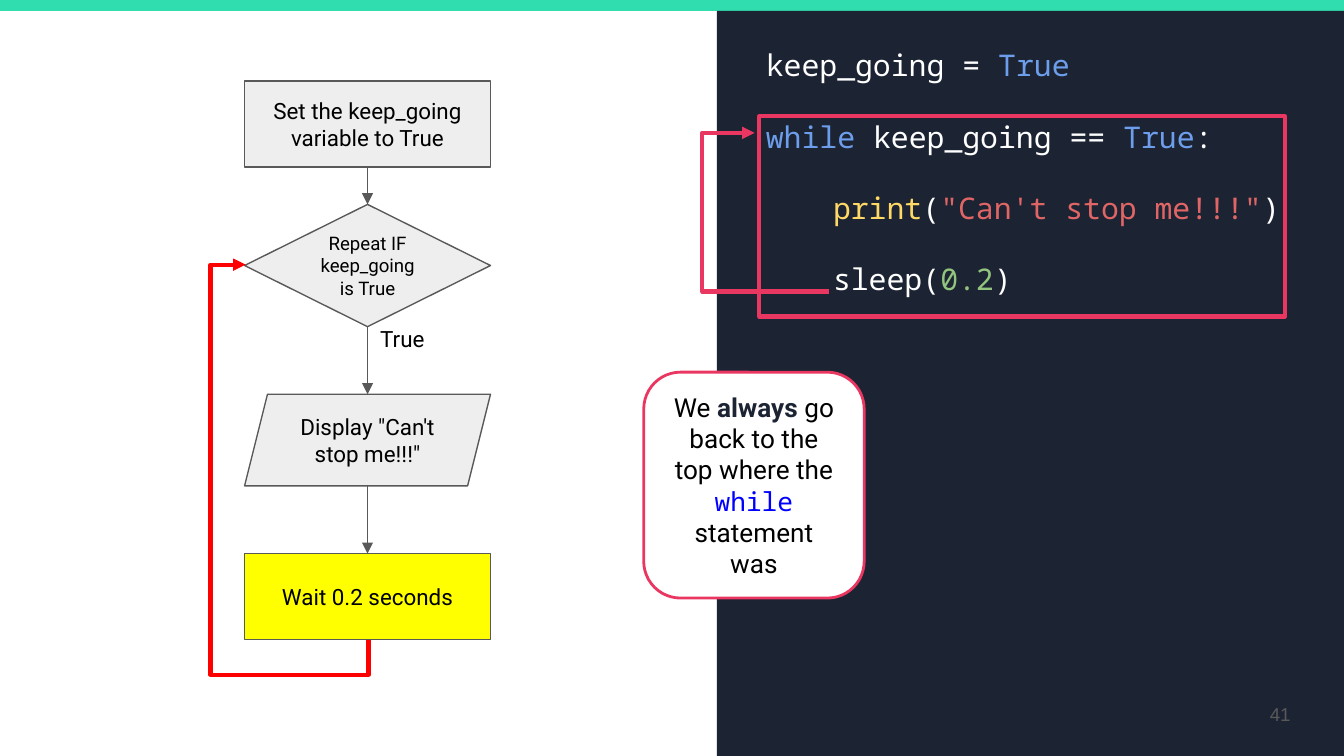
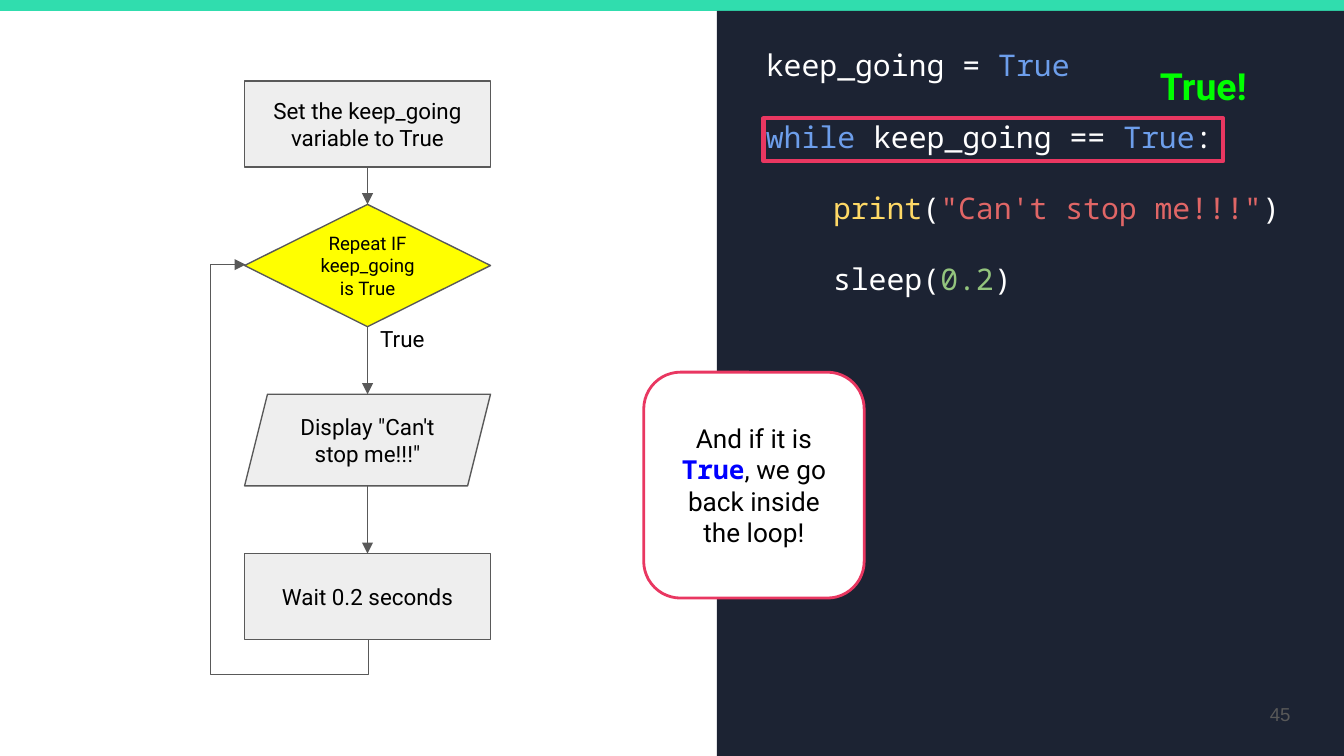
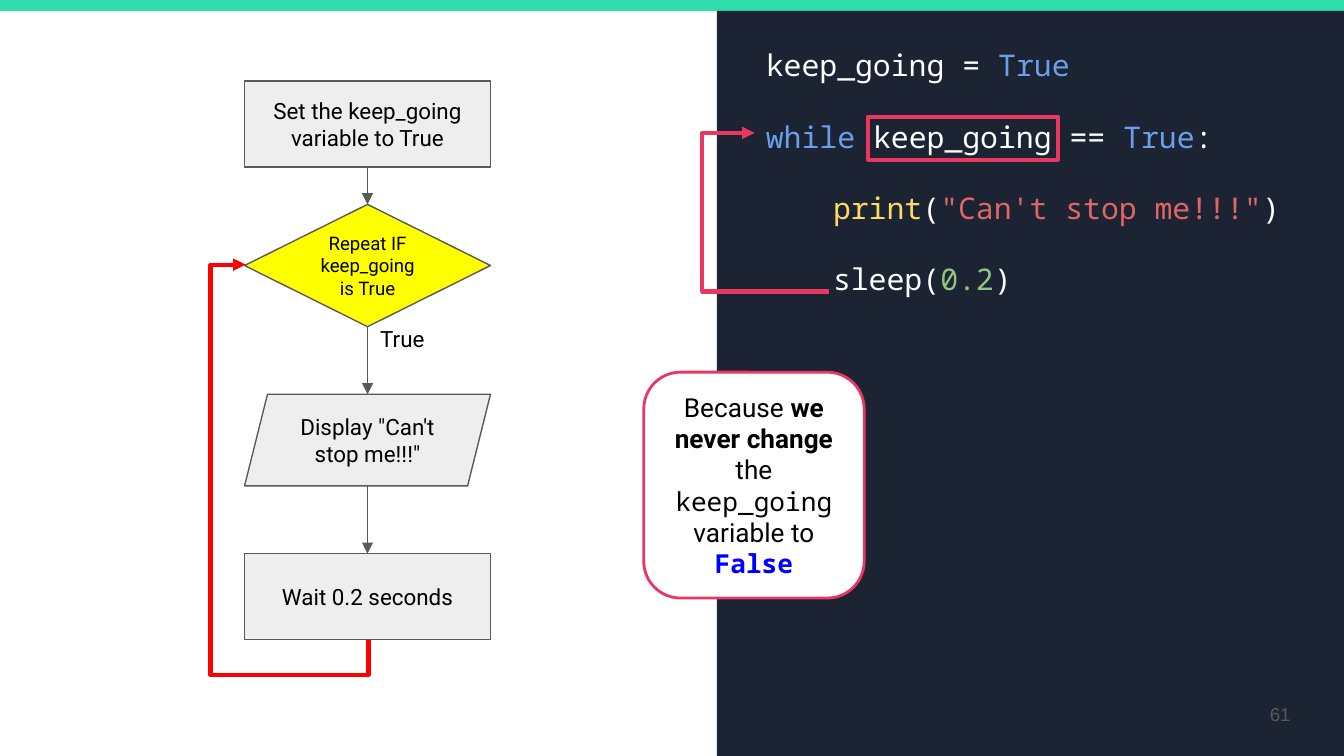
"""Build three slides that explain a while loop with a flowchart and code."""
from lxml import etree
from pptx import Presentation
from pptx.dml.color import RGBColor
from pptx.enum import shapes, text
from pptx.oxml import ns
from pptx.util import Pt

KIND = shapes.MSO_SHAPE
ALIGN = text.PP_ALIGN
ANCHOR = text.MSO_ANCHOR

TEAL, NAVY, PINK, RED = "30DDAE", "1C2333", "E93761", "FF0000"
GREY, PALE, YELLOW, LIME = "595959", "EEEEEE", "FFFF00", "00FF00"
WHITE, BLACK, BLUE = "FFFFFF", "000000", "0000FF"
KEYWORD, CALL, STRING, NUMBER = "6D9EEB", "FFD966", "E06666", "93C47D"
SANS, MONO = "Roboto", "Noto Sans Mono"

CODE_LINE = 19.1
CODE = [
    (0, [("keep_going = ", WHITE), ("True", KEYWORD)]),
    (0, [("while", KEYWORD), (" keep_going == ", WHITE), ("True", KEYWORD), (":", WHITE)]),
    (36, [("print", CALL), ("(", WHITE), ('"Can\'t stop me!!!"', STRING), (")", WHITE)]),
    (36, [("sleep(", WHITE), ("0.2", NUMBER), (")", WHITE)]),
]

STEP_LEFT, STEP_WIDTH = 131.04, 131.76
STEPS = [
    ("set", KIND.RECTANGLE, 43.4, 46.2, "Set the keep_going variable to True", 12),
    ("test", KIND.DIAMOND, 109.5, 65.5, "Repeat IF keep_going is True", 10),
    ("show", KIND.PARALLELOGRAM, 211.2, 49.1, 'Display "Can\'t stop me!!!"', 12),
    ("wait", KIND.RECTANGLE, 296.6, 46.2, "Wait 0.2 seconds", 12),
]


def color(value):
    """Turn a hex string into a colour."""
    return RGBColor.from_string(value)


def add_span(para, words, size, font=SANS, ink=BLACK, bold=False):
    """Append one formatted run to a paragraph."""
    span = para.add_run()
    span.text = words
    span.font.size = Pt(size)
    span.font.name = font
    span.font.bold = bold
    span.font.color.rgb = color(ink)


def set_frame(box, anchor):
    """Give a box wrapped text with even insets."""
    frame = box.text_frame
    frame.word_wrap = True
    frame.vertical_anchor = anchor
    frame.margin_left = frame.margin_right = Pt(7.2)
    frame.margin_top = frame.margin_bottom = Pt(7.2)
    return frame


def add_box(parent, kind, place, fill=None, line=None, weight=0.75):
    """Draw a preset shape, with fill and outline where given."""
    box = parent.shapes.add_shape(kind, *map(Pt, place))
    box.shadow.inherit = False
    if fill:
        box.fill.solid()
        box.fill.fore_color.rgb = color(fill)
    else:
        box.fill.background()
    if line:
        box.line.color.rgb = color(line)
        box.line.width = Pt(weight)
    else:
        box.line.fill.background()
    return box


def write(box, spans, align=ALIGN.CENTER, anchor=ANCHOR.MIDDLE):
    """Write one paragraph of spans into a box."""
    para = set_frame(box, anchor).paragraphs[0]
    para.alignment = align
    for span in spans:
        add_span(para, *span)


def add_label(parent, place, span, align=ALIGN.LEFT, anchor=ANCHOR.TOP):
    """Place a text box that holds one span."""
    write(parent.shapes.add_textbox(*map(Pt, place)), [span], align, anchor)


def style_arrow(link, ink, weight):
    """Set the line and arrowhead of a connector."""
    link.line.color.rgb = color(ink)
    link.line.width = Pt(weight)
    properties = link.element.spPr
    stroke = properties.find(ns.qn("a:ln"))
    etree.SubElement(stroke, ns.qn("a:tailEnd"), type="triangle")
    etree.SubElement(properties, ns.qn("a:effectLst"))


def add_step_arrow(chart, upper, lower):
    """Lead straight down from one step to the next."""
    middle = upper.left + upper.width // 2
    link = chart.shapes.add_connector(
        shapes.MSO_CONNECTOR.STRAIGHT, middle, upper.top + upper.height, middle, lower.top)
    if upper.auto_shape_type == KIND.RECTANGLE:
        link.begin_connect(upper, 2)
    if lower.auto_shape_type == KIND.RECTANGLE:
        link.end_connect(lower, 0)
    style_arrow(link, GREY, 0.75)


def add_elbow(parent, preset, place, turn, bends, ink, weight, flip=False):
    """Draw a bent arrow from its unrotated frame, turn and bend ratios."""
    left, top, width, height = place
    link = parent.shapes.add_connector(
        shapes.MSO_CONNECTOR.ELBOW, Pt(left), Pt(top), Pt(left + width), Pt(top + height))
    properties = link.element.spPr
    properties.xfrm.set("rot", str(turn * 60000))
    if flip:
        properties.xfrm.set("flipH", "1")
    geometry = properties.find(ns.qn("a:prstGeom"))
    geometry.set("prst", preset)
    guides = geometry.find(ns.qn("a:avLst"))
    if guides is None:
        guides = etree.SubElement(geometry, ns.qn("a:avLst"))
    for number, bend in enumerate(bends, 1):
        name = f"adj{number}" if len(bends) > 1 else "adj1"
        etree.SubElement(guides, ns.qn("a:gd"), name=name, fmla=f"val {round(bend * 100000)}")
    style_arrow(link, ink, weight)


def add_flowchart(page, active, loop_ink, loop_weight):
    """Draw the grouped flowchart with one step highlighted."""
    chart = page.shapes.add_group_shape()
    boxes = []
    for name, kind, top, height, words, size in STEPS:
        fill = YELLOW if name == active else PALE
        box = add_box(chart, kind, (STEP_LEFT, top, STEP_WIDTH, height), fill, GREY)
        write(box, [(words, size)])
        boxes.append(box)
    for upper, lower in zip(boxes, boxes[1:]):
        add_step_arrow(chart, upper, lower)
    add_elbow(chart, "bentConnector4", (64, 209.4, 201, 65.8), 90, (-0.093, 1.286),
              loop_ink, loop_weight, flip=True)
    add_label(chart, (196.6, 167, 43.2, 27.4), ("True", 12))


def add_code(page):
    """Place the dark panel and the coloured code."""
    add_box(page, KIND.RECTANGLE, (384, 5.8, 336, 399.2), NAVY)
    box = page.shapes.add_textbox(*map(Pt, (403.2, 18, 295.2, 349.2)))
    frame = set_frame(box, ANCHOR.TOP)
    for number, (indent, spans) in enumerate(CODE):
        para = frame.add_paragraph() if number else frame.paragraphs[0]
        para.line_spacing = Pt(CODE_LINE)
        if number:
            para.space_before = Pt(CODE_LINE)
        if indent:
            para._p.get_or_add_pPr().set("marL", str(Pt(indent)))
        for words, ink in spans:
            add_span(para, words, 16, MONO, ink)


def add_highlight(page, place):
    """Outline a part of the code."""
    add_box(page, KIND.RECTANGLE, place, line=PINK, weight=2.25)


def add_code_loop(page):
    """Lead from the last code line back to the while line."""
    add_elbow(page, "bentConnector3", (404.3, 71.2, 40, 85), 180, (1.702,), PINK, 2.25)


def add_callout(page, spans):
    """Place the rounded explanation."""
    box = add_box(page, KIND.ROUNDED_RECTANGLE, (344.9, 199.4, 118.1, 121), WHITE, PINK, 1.5)
    box.adjustments[0] = 0.167
    write(box, spans)


def add_page(deck, number, active, loop_ink, loop_weight, highlight, callout):
    """Add a slide with the parts that all slides share."""
    page = deck.slides.add_slide(deck.slide_layouts[6])
    add_box(page, KIND.RECTANGLE, (-0.7, 0, 721.4, 5.8), TEAL)
    add_code(page)
    add_highlight(page, highlight)
    add_label(page, (655.2, 367.2, 43.2, 31), (str(number), 10, "Arial", GREY),
              ALIGN.RIGHT, ANCHOR.MIDDLE)
    add_flowchart(page, active, loop_ink, loop_weight)
    add_callout(page, callout)
    return page


def main():
    """Build and save the deck."""
    deck = Presentation()
    deck.slide_width, deck.slide_height = Pt(720), Pt(405)

    page = add_page(deck, 41, "wait", RED, 2.25, (406.8, 62.3, 281.5, 107.3), [
        ("We ", 14), ("always ", 14, SANS, NAVY, True), ("go back to the top where the ", 14),
        ("while ", 14, MONO, BLUE), ("statement was", 14)])
    add_code_loop(page)

    page = add_page(deck, 45, "test", GREY, 0.75, (409, 63.4, 246.2, 23), [
        ("And if it is ", 14), ("True", 14, MONO, BLUE, True),
        (", we go back inside the loop!", 14)])
    add_label(page, (594.7, 26.6, 100, 40.3), ("True!", 20, SANS, LIME, True), ALIGN.CENTER)

    page = add_page(deck, 61, "test", RED, 2.25, (465.1, 62.6, 101.5, 23), [
        ("Because ", 14), ("we never change", 14, SANS, BLACK, True), (" the ", 14),
        ("keep_going", 14, MONO), (" variable to ", 14), ("False", 14, MONO, BLUE, True)])
    add_code_loop(page)

    deck.save("out.pptx")


if __name__ == "__main__":
    main()
